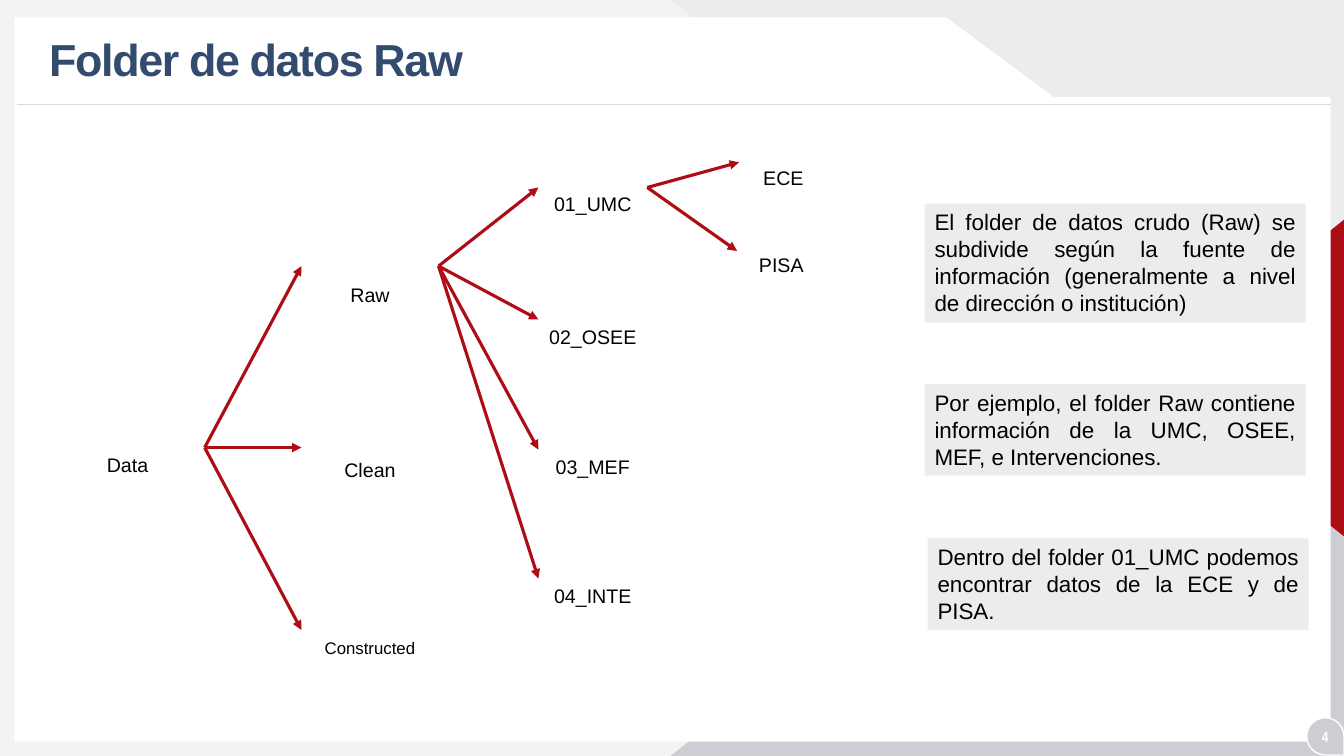
from dataclasses import dataclass

from lxml import etree
from pptx import Presentation
from pptx.dml.color import RGBColor
from pptx.enum.shapes import MSO_CONNECTOR, MSO_SHAPE
from pptx.enum.text import MSO_ANCHOR, PP_ALIGN
from pptx.oxml.ns import qn
from pptx.util import Inches, Pt

RECTANGLE = MSO_SHAPE.RECTANGLE
TRIANGLE = MSO_SHAPE.ISOSCELES_TRIANGLE
TEARDROP = MSO_SHAPE.TEAR
STRAIGHT = MSO_CONNECTOR.STRAIGHT
TOP, MIDDLE = MSO_ANCHOR.TOP, MSO_ANCHOR.MIDDLE
LEFT, CENTER, JUSTIFY = PP_ALIGN.LEFT, PP_ALIGN.CENTER, PP_ALIGN.JUSTIFY


@dataclass(frozen=True)
class Theme:
    white: str = "FFFFFF"
    black: str = "000000"
    navy: str = "324B6E"
    red: str = "AF0D15"
    page: str = "F3F3F5"
    light: str = "EBECEE"
    grey: str = "CDCED3"
    rule: str = "D9D9D9"
    font: str = "Arial"
    number_font: str = "Arial Narrow"
    title_size: float = 32
    note_size: float = 16
    label_size: float = 14
    small_size: float = 12
    number_size: float = 10.5


theme = Theme()
presentation = Presentation()
presentation.slide_width, presentation.slide_height = Inches(13.33), Inches(7.5)
slide = presentation.slides.add_slide(presentation.slide_layouts[6])


def add_text(text, box, size=theme.label_size, font=theme.font, color=theme.black,
             bold=False, align=CENTER, anchor=TOP, fill=None):
    """Add a text box, with a solid background when fill is given."""
    shape = slide.shapes.add_textbox(*map(Inches, box))
    if fill:
        shape.fill.solid()
        shape.fill.fore_color.rgb = RGBColor.from_string(fill)
    frame = shape.text_frame
    frame.word_wrap = True
    frame.vertical_anchor = anchor
    paragraph = frame.paragraphs[0]
    paragraph.alignment = align
    run = paragraph.add_run()
    run.text = text
    run.font.name, run.font.size, run.font.bold = font, Pt(size), bold
    run.font.color.rgb = RGBColor.from_string(color)
    return shape


def add_line(start, end, color, width, arrow=False):
    connector = slide.shapes.add_connector(STRAIGHT, *map(Inches, (*start, *end)))
    connector.line.color.rgb = RGBColor.from_string(color)
    connector.line.width = Pt(width)
    if arrow:
        etree.SubElement(connector.line._get_or_add_ln(), qn("a:tailEnd"), type="triangle")
    etree.SubElement(connector.element.spPr, qn("a:effectLst"))


# Background: preset, box, fill, rotation, apex position
backdrop = [
    (RECTANGLE, (0, 0, 13.33, 7.5), theme.page, 0, None),
    (TRIANGLE, (6.65, 0, 6.69, 5.31), theme.light, 0, 1),
    (TRIANGLE, (6.65, 2.19, 6.69, 5.31), theme.grey, 0, 1),
    (TRIANGLE, (10.78, 2.77, 3.15, 1.96), theme.red, 270, 0.5),
]
badge = (TEARDROP, (12.96, 7.12, 0.37, 0.37), theme.grey, 90, None)
for preset, box, fill, rotation, apex in backdrop + [badge]:
    if preset == TEARDROP:
        # The white panel and title rule lie beneath the page number badge
        corners = [(9.38, 0.18), (10.45, 0.97), (13.19, 0.97), (13.19, 7.35), (0.15, 7.35)]
        builder = slide.shapes.build_freeform(Inches(0.15), Inches(0.18))
        builder.add_line_segments([(Inches(x), Inches(y)) for x, y in corners], close=True)
        panel = builder.convert_to_shape()
        panel.shadow.inherit = False
        panel.fill.solid()
        panel.fill.fore_color.rgb = RGBColor.from_string(theme.white)
        panel.line.color.rgb = RGBColor.from_string(theme.white)
        panel.line.width = Pt(1)
        add_line((13.2, 1.04), (0.17, 1.04), theme.rule, 0.5)
    shape = slide.shapes.add_shape(preset, *map(Inches, box))
    shape.shadow.inherit = False
    shape.rotation = rotation
    shape.fill.solid()
    shape.fill.fore_color.rgb = RGBColor.from_string(fill)
    if apex is not None:
        shape.adjustments[0] = apex
    if fill == theme.light:
        shape.element.spPr.xfrm.set("flipV", "1")
    if preset == TEARDROP:
        shape.line.color.rgb = RGBColor.from_string(theme.white)
        shape.line.width = Pt(1)
    else:
        shape.line.fill.background()

title = add_text("Folder de datos Raw", (0.39, 0.22, 9.66, 0.79), size=theme.title_size,
                 color=theme.navy, bold=True, align=LEFT, anchor=MIDDLE)
title_paragraph = title.text_frame.paragraphs[0]
title_paragraph.line_spacing = 0.9
title_paragraph.runs[0].font._element.set("spc", "-100")
add_text("4", (12.91, 7.17, 0.47, 0.28), size=theme.number_size, font=theme.number_font,
         color=theme.white, bold=True, anchor=MIDDLE)

# Folder tree: name, left, top
add_text("Data", (0.72, 4.44, 1.09, 0.34))
folders = [
    ("Raw", 3.1, 2.76), ("Clean", 3.1, 4.49),
    ("01_UMC", 5.31, 1.86), ("02_OSEE", 5.31, 3.17),
    ("03_MEF", 5.31, 4.46), ("04_INTE", 5.31, 5.74),
    ("ECE", 7.2, 1.6), ("PISA", 7.18, 2.46),
]
for name, left, top in folders:
    add_text(name, (left, top, 1.14, 0.34))
add_text("Constructed", (3.1, 6.28, 1.14, 0.3), size=theme.small_size)

# Arrows fan out from each parent folder
branches = [
    ((2.03, 4.44), [(2.99, 2.64), (2.99, 4.44), (2.99, 6.25)]),
    ((4.35, 2.64), [(5.34, 1.86), (5.34, 3.17), (5.34, 4.46), (5.34, 5.74)]),
    ((6.42, 1.86), [(7.33, 1.61), (7.31, 2.49)]),
]
for parent, children in branches:
    for child in children:
        add_line(parent, child, theme.red, 2.25, arrow=True)

notes = [
    ("El folder de datos crudo (Raw) se subdivide según la fuente de información "
     "(generalmente a nivel de dirección o institución)", (9.17, 2.02, 3.78, 1.18)),
    ("Por ejemplo, el folder Raw contiene información de la UMC, OSEE, MEF, "
     "e Intervenciones.", (9.17, 3.81, 3.78, 0.91)),
    ("Dentro del folder 01_UMC podemos encontrar datos de la ECE y de PISA.",
     (9.2, 5.34, 3.78, 0.91)),
]
for text, box in notes:
    add_text(text, box, size=theme.note_size, align=JUSTIFY, fill=theme.light)

presentation.save("out.pptx")
